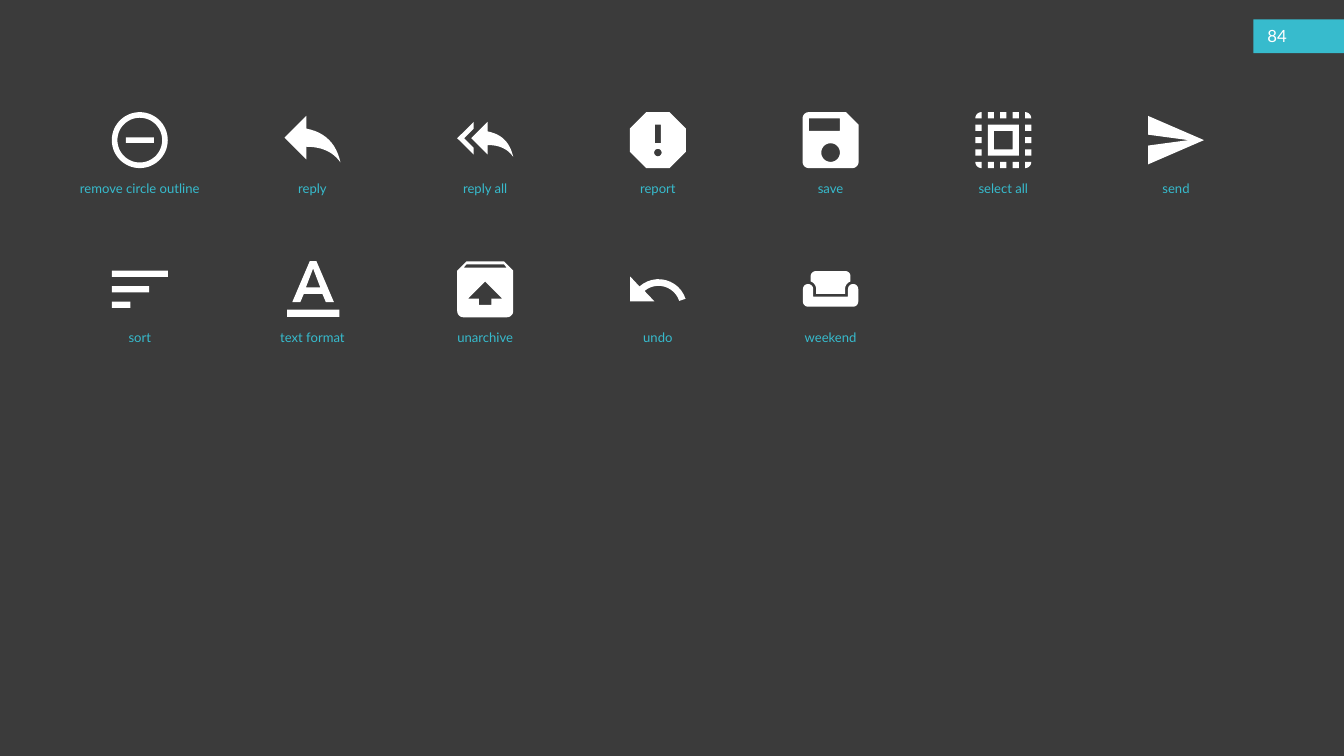
from math import cos, radians, sin

from pptx import Presentation
from pptx.dml.color import RGBColor
from pptx.enum.shapes import MSO_SHAPE
from pptx.enum.text import MSO_ANCHOR, PP_ALIGN
from pptx.util import Inches, Pt

COLORS = {"background": "3B3B3B", "accent": "37BBCD", "white": "FFFFFF"}
FONT = "Lato"
GRID = 24          # every icon is outlined on a 24 x 24 grid
ICON_SIZE = 1.11   # inches for the whole grid
PRECISION = 100    # freeform units per grid unit
COLUMNS = 7


def arc(x, y, radius, start, end, pieces=12):
    angles = [radians(start + (end - start) * i / pieces) for i in range(pieces + 1)]
    return [(x + radius * cos(angle), y + radius * sin(angle)) for angle in angles]


def circle(x, y, radius):
    return arc(x, y, radius, 0, 360, 60)


def box(left, top, width, height):
    right, bottom = left + width, top + height
    return [(left, top), (right, top), (right, bottom), (left, bottom)]


def soft_square(corners, low=3, high=21):
    """Square whose corners, clockwise from top left, are (radius, pieces)."""
    points = []
    for index, (radius, pieces) in enumerate(corners):
        x = high - radius if index in (1, 2) else low + radius
        y = high - radius if index > 1 else low + radius
        start = 180 + 90 * index
        points += arc(x, y, radius, start, start + 90, pieces)
    return points


def bend(start, control, end, pieces=12):
    """Points of a quadratic curve."""
    return [tuple((1 - t) ** 2 * a + 2 * t * (1 - t) * b + t * t * c
                  for a, b, c in zip(start, control, end))
            for t in (i / pieces for i in range(pieces + 1))]


def mirrored(half, axis=GRID / 2):
    return half + [(2 * axis - x, y) for x, y in reversed(half)]


def reply_arrow():
    tip = (21, 19.2)
    return ([(10, 4.25), (3, 11.2), (10, 18.2)]
            + bend((10, 14.15), (17.5, 14.15), tip) + bend(tip, (19, 10), (10, 8.3)))


def reply_all():
    arrow = [(0.75 * x + 5.25, 0.75 * y + 2.96) for x, y in reply_arrow()]
    chevron_top = [(5.25, 11.4), (8.3, 8.3), (8.3, 6.15), (3, 11.4)]
    chevron_bottom = [(x, 22.8 - y) for x, y in reversed(chevron_top[1:3])]
    return [chevron_top + chevron_bottom, arrow]


def select_all():
    outlines = [box(7, 7, 10, 10), box(9, 9, 6, 6)]
    for index, (x, y) in enumerate(box(5, 5, 14, 14)):
        start = 180 + 90 * index
        outlines.append([(x, y)] + arc(x, y, 2, start, start + 90))
    for offset in range(7, 17, 4):
        for edge in (3, 19):
            outlines += [box(offset, edge, 2, 2), box(edge, offset, 2, 2)]
    return outlines


def unarchive():
    cut, rounded = (3, 1), (2, 12)
    arrow = [(12, 9.5), (6.5, 15), (10, 15), (10, 17)]
    return [soft_square([cut, cut, rounded, rounded]), mirrored(arrow),
            mirrored([(5.94, 4), (5.12, 5)])]


def undo():
    x, y = 12.2, 17.9
    return [arc(x, y, 9.15, 228, 342) + arc(x, y, 7, 342, 230)
            + [(10.9, 15.9), (3.1, 15.9), (3.1, 7.9)]]


def weekend():
    x, y, radius = 4.75, 11.95, 1.65
    seat = [(x + radius, 14.4)] + arc(x, y, radius, 0, -180) + arc(x, y + 4, radius, 180, 90)
    back = [(x + 2.6, 13.5)] + arc(x, y, 2.6, 0, -71) + arc(7.25, 7.8, radius, 180, 270)
    return [mirrored(seat), mirrored(back)]


def icon_outlines():
    rounded = (2, 12)
    letter_axis = 12.2
    letter = [(11.15, 2.9), (5.5, 16.1), (8.1, 16.1), (9.2, 13.5)]
    return {
        "remove circle outline": [circle(12, 12, 9), circle(12, 12, 7.2),
                                  box(7.5, 11.1, 9, 1.8)],
        "reply": [reply_arrow()],
        "reply all": reply_all(),
        "report": [arc(12, 12, 9.74, 22.5, 382.5, 8), circle(12, 16, 1.2), box(11, 7, 2, 6)],
        "save": [soft_square([rounded, (4, 1), rounded, rounded]),
                 circle(12, 16, 3), box(5, 5, 10, 4)],
        "select all": select_all(),
        "send": [[(3, 19.8), (21, 12), (3, 4.2), (3, 10.25), (16, 12), (3, 13.75)]],
        "sort": [box(3, 6 + 5 * row, 18 - 6 * row, 2) for row in range(3)],
        "text format": [box(3.8, 18.5, 16.85, 2.4), mirrored(letter, letter_axis),
                        mirrored([(letter_axis, 5.3), (9.9, 11.35)], letter_axis)],
        "unarchive": unarchive(),
        "undo": undo(),
        "weekend": weekend(),
    }


def color(name):
    return RGBColor.from_string(COLORS[name])


def paint(shape, color_name):
    shape.shadow.inherit = False
    shape.fill.solid()
    shape.fill.fore_color.rgb = color(color_name)
    shape.line.fill.background()


def add_icon(slide, outlines, left, top):
    contours = [[(x * PRECISION, y * PRECISION) for x, y in outline] for outline in outlines]
    scale = Inches(ICON_SIZE) / (GRID * PRECISION)
    builder = slide.shapes.build_freeform(*contours[0][0], scale=scale)
    for index, contour in enumerate(contours):
        if index:
            builder.move_to(*contour[0])
        builder.add_line_segments(contour[1:], close=True)
    paint(builder.convert_to_shape(Inches(left), Inches(top)), "white")


def add_text(slide, text, left, top, width, height, size, color_name,
             align=PP_ALIGN.LEFT, anchor=MSO_ANCHOR.TOP):
    text_box = slide.shapes.add_textbox(Inches(left), Inches(top), Inches(width), Inches(height))
    frame = text_box.text_frame
    frame.word_wrap = True
    frame.vertical_anchor = anchor
    frame.text = text
    paragraph = frame.paragraphs[0]
    paragraph.alignment = align
    font = paragraph.runs[0].font
    font.name, font.size, font.color.rgb = FONT, Pt(size), color(color_name)


def add_icon_grid(slide, left, top, cell_width=2.78, pitch_x=2.57, pitch_y=2.22):
    for index, (label, outlines) in enumerate(icon_outlines().items()):
        row, column = divmod(index, COLUMNS)
        x, y = left + column * pitch_x, top + row * pitch_y
        add_icon(slide, outlines, x + (cell_width - ICON_SIZE) / 2, y)
        add_text(slide, label, x, y + ICON_SIZE, cell_width, 0.34, 14, "accent",
                 align=PP_ALIGN.CENTER)


def add_page_number(slide, number, left, top, width, height):
    tab = slide.shapes.add_shape(MSO_SHAPE.RECTANGLE, Inches(left), Inches(top),
                                 Inches(width), Inches(height))
    paint(tab, "accent")
    add_text(slide, number, left + 0.11, top - 0.01, width / 2, height, 18, "white",
             anchor=MSO_ANCHOR.MIDDLE)


def main():
    presentation = Presentation()
    presentation.slide_width, presentation.slide_height = Inches(20), Inches(11.25)
    slide = presentation.slides.add_slide(presentation.slide_layouts[6])
    slide.background.fill.solid()
    slide.background.fill.fore_color.rgb = color("background")
    add_page_number(slide, "84", 18.65, 0.29, 1.35, 0.5)
    add_icon_grid(slide, 0.69, 1.53)
    presentation.save("out.pptx")


if __name__ == "__main__":
    main()
